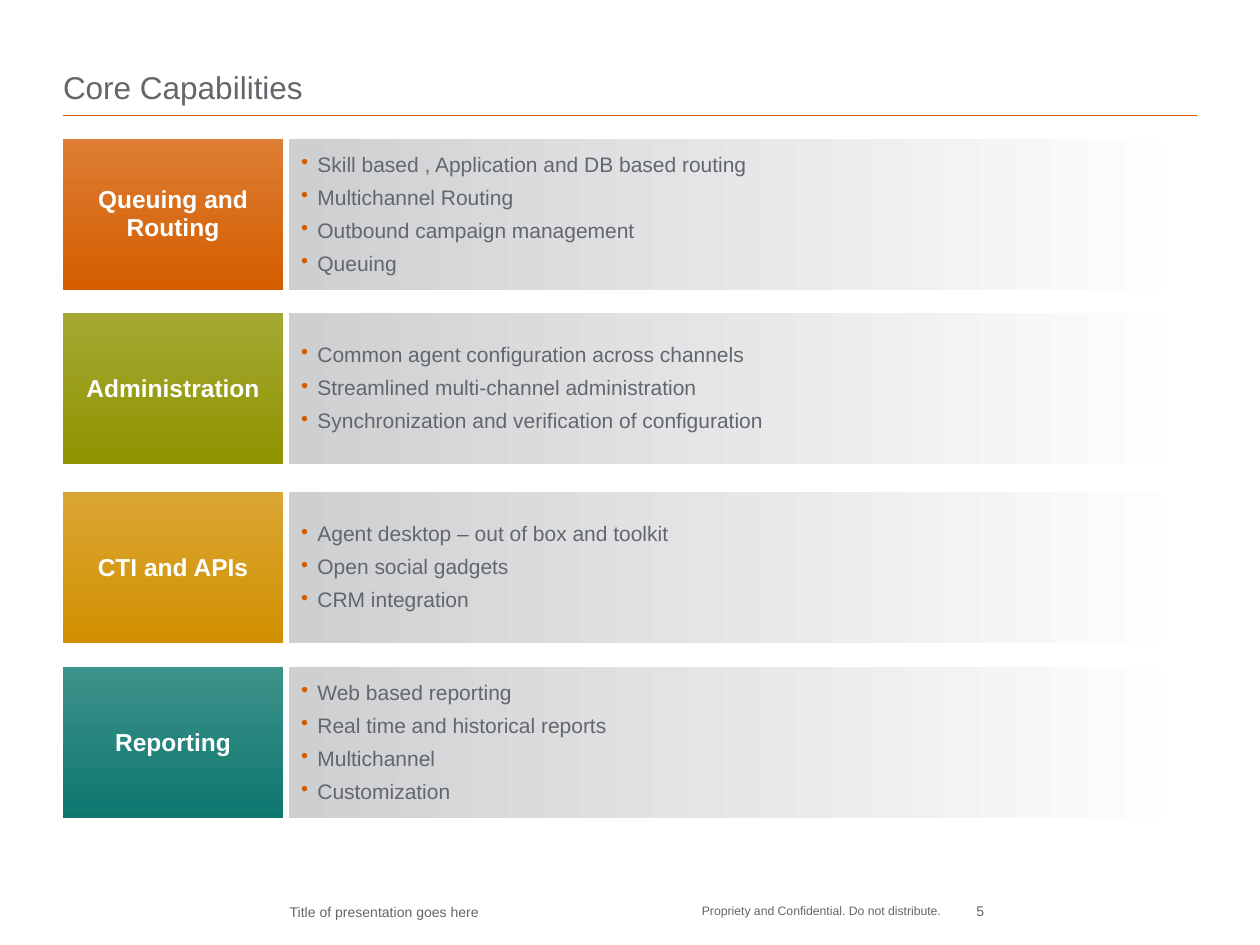
from dataclasses import dataclass

from lxml import etree
from pptx import Presentation
from pptx.dml.color import RGBColor
from pptx.enum.shapes import MSO_CONNECTOR, MSO_SHAPE
from pptx.enum.text import MSO_ANCHOR, PP_ALIGN
from pptx.oxml.ns import qn
from pptx.util import Cm, Pt

RECTANGLE = MSO_SHAPE.RECTANGLE
STRAIGHT = MSO_CONNECTOR.STRAIGHT
TOP, MIDDLE, BOTTOM = MSO_ANCHOR.TOP, MSO_ANCHOR.MIDDLE, MSO_ANCHOR.BOTTOM
LEFT, CENTER, RIGHT = PP_ALIGN.LEFT, PP_ALIGN.CENTER, PP_ALIGN.RIGHT

FONT = "Arial"
COLORS = {
    "text": "63666A",
    "accent": "D45D00",
    "white": "FFFFFF",
    "panel": "CDCFD1",
}

# Shared geometry in centimetres
MARGIN = 1.27
CONTENT_WIDTH = 22.86
LABEL_WIDTH = 4.44
PANEL_LEFT = 5.82
ROW_HEIGHT = 3.05
BULLET_INDENT = 0.33


@dataclass
class Capability:
    label: str
    top: float
    gradient: tuple[str, str]
    points: list[str]


@dataclass
class Footer:
    text: str
    box: tuple[float, float, float, float]
    size: float
    align: PP_ALIGN = LEFT
    wrap: bool = True


CAPABILITIES = [
    Capability("Queuing and Routing", 2.8, ("DD7D33", "D45D00"), [
        "Skill based , Application and DB based routing",
        "Multichannel Routing",
        "Outbound campaign management",
        "Queuing",
    ]),
    Capability("Administration", 6.31, ("A5A933", "8E9300"), [
        "Common agent configuration across channels",
        "Streamlined multi-channel administration",
        "Synchronization and verification of configuration",
    ]),
    Capability("CTI and APIs", 9.92, ("DAA633", "D19000"), [
        "Agent desktop – out of box and toolkit",
        "Open social gadgets",
        "CRM integration",
    ]),
    Capability("Reporting", 13.45, ("3D928B", "0D776E"), [
        "Web based reporting",
        "Real time and historical reports",
        "Multichannel",
        "Customization",
    ]),
]

FOOTERS = [
    Footer("Title of presentation goes here", (5.84, 18.21, 13.34, 0.43), 8),
    Footer("Propriety and Confidential. Do not distribute.",
           (14.15, 18.21, 5.28, 0.64), 7, wrap=False),
    Footer("5", (19, 18.19, 0.84, 0.43), 8, RIGHT),
]


def set_frame(frame, anchor: MSO_ANCHOR, margins=(0, 0, 0, 0), wrap: bool = True) -> None:
    left, top, right, bottom = margins
    values = {
        "margin_left": Cm(left), "margin_top": Cm(top),
        "margin_right": Cm(right), "margin_bottom": Cm(bottom),
        "vertical_anchor": anchor, "word_wrap": wrap,
    }
    for name, value in values.items():
        setattr(frame, name, value)


def set_paragraph(paragraph, text: str, size: float, color: str = "text",
                  bold: bool = False, **layout) -> None:
    paragraph.text = text
    for name, value in layout.items():
        setattr(paragraph, name, value)
    font = paragraph.runs[0].font
    for name, value in {"name": FONT, "size": Pt(size), "bold": bold}.items():
        setattr(font, name, value)
    font.color.rgb = RGBColor.from_string(COLORS[color])


def add_bullet(paragraph) -> None:
    properties = paragraph._p.get_or_add_pPr()
    properties.set("marL", str(Cm(BULLET_INDENT)))
    properties.set("indent", str(-Cm(BULLET_INDENT)))
    bullet_color = etree.SubElement(properties, qn("a:buClr"))
    etree.SubElement(bullet_color, qn("a:srgbClr"), val=COLORS["accent"])
    etree.SubElement(properties, qn("a:buChar"), char="•")


def add_gradient_box(slide, left: float, top: float, width: float,
                     colors: tuple[str, str], angle: float):
    shape = slide.shapes.add_shape(RECTANGLE, Cm(left), Cm(top), Cm(width), Cm(ROW_HEIGHT))
    shape.shadow.inherit = False
    shape.line.fill.background()
    shape.fill.gradient()
    shape.fill.gradient_angle = angle
    for stop, color in zip(shape.fill.gradient_stops, colors):
        stop.color.rgb = RGBColor.from_string(color)
    return shape


def add_capability(slide, capability: Capability) -> None:
    # Panel with bullet points
    panel = add_gradient_box(slide, PANEL_LEFT, capability.top,
                             MARGIN + CONTENT_WIDTH - PANEL_LEFT,
                             (COLORS["panel"], COLORS["white"]), 0)
    frame = panel.text_frame
    set_frame(frame, MIDDLE, (0.25, 0.25, 0, 0.25))
    for index, point in enumerate(capability.points):
        paragraph = frame.add_paragraph() if index else frame.paragraphs[0]
        add_bullet(paragraph)
        set_paragraph(paragraph, point, 12, alignment=LEFT,
                      line_spacing=0.95, space_after=Pt(5.2))

    # Coloured label
    label = add_gradient_box(slide, MARGIN, capability.top, LABEL_WIDTH,
                             capability.gradient, 270)
    set_frame(label.text_frame, MIDDLE)
    set_paragraph(label.text_frame.paragraphs[0], capability.label, 14, "white", True,
                  alignment=CENTER, line_spacing=0.95)


def add_footer(slide, footer: Footer) -> None:
    box = slide.shapes.add_textbox(*(Cm(length) for length in footer.box))
    set_frame(box.text_frame, TOP, wrap=footer.wrap)
    set_paragraph(box.text_frame.paragraphs[0], footer.text, footer.size,
                  alignment=footer.align)


def add_title(slide, text: str) -> None:
    title = slide.shapes.title
    title.left, title.top = Cm(MARGIN), Cm(0.43)
    title.width, title.height = Cm(CONTENT_WIDTH), Cm(1.7)
    set_frame(title.text_frame, BOTTOM)
    set_paragraph(title.text_frame.paragraphs[0], text, 18, alignment=LEFT)

    # Rule under the title
    rule = slide.shapes.add_connector(STRAIGHT, Cm(MARGIN), Cm(2.33),
                                      Cm(MARGIN + CONTENT_WIDTH), Cm(2.33))
    rule.line.color.rgb = RGBColor.from_string(COLORS["accent"])
    rule.line.width = Pt(1)
    etree.SubElement(rule._element.spPr, qn("a:effectLst"))


def main() -> None:
    presentation = Presentation()
    presentation.slide_width, presentation.slide_height = Cm(25.4), Cm(19.05)
    slide = presentation.slides.add_slide(presentation.slide_layouts[5])

    add_title(slide, "Core Capabilities")
    for capability in CAPABILITIES:
        add_capability(slide, capability)
    for footer in FOOTERS:
        add_footer(slide, footer)

    presentation.save("out.pptx")


if __name__ == "__main__":
    main()
